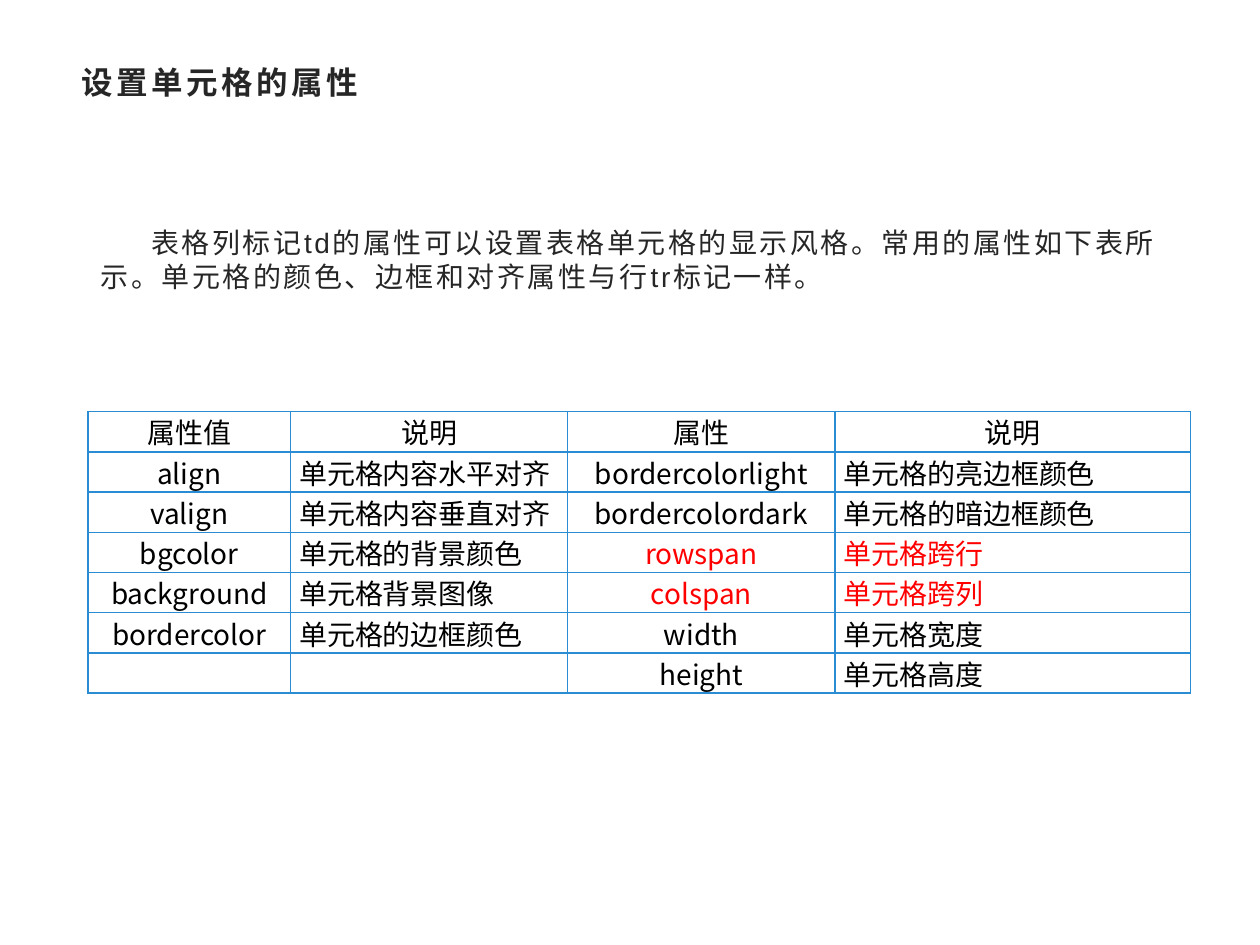
from lxml import etree
from pptx import Presentation
from pptx.dml.color import RGBColor
from pptx.enum.text import MSO_ANCHOR, PP_ALIGN
from pptx.oxml.ns import qn
from pptx.util import Pt

TOP, MID = MSO_ANCHOR.TOP, MSO_ANCHOR.MIDDLE
LEFT, CENTER, JUST = PP_ALIGN.LEFT, PP_ALIGN.CENTER, PP_ALIGN.JUSTIFY
COLORS = {"ink": "262626", "black": "000000", "red": "FF0000", "rule": "2A8DD4"}
LATIN, HAN = "Arial", "Noto Sans CJK SC"

TITLE = "设置单元格的属性"
INTRO = ("表格列标记td的属性可以设置表格单元格的显示风格。常用的属性如下表所示。"
         "单元格的颜色、边框和对齐属性与行tr标记一样。")
ROWS = [
    ("属性值", "说明", "属性", "说明"),
    ("align", "单元格内容水平对齐", "bordercolorlight", "单元格的亮边框颜色"),
    ("valign", "单元格内容垂直对齐", "bordercolordark", "单元格的暗边框颜色"),
    ("bgcolor", "单元格的背景颜色", "rowspan", "单元格跨行"),
    ("background", "单元格背景图像", "colspan", "单元格跨列"),
    ("bordercolor", "单元格的边框颜色", "width", "单元格宽度"),
    ("", "", "height", "单元格高度"),
]
SPANS = ("rowspan", "colspan")


class Deck:
    def __init__(self, wide, high):
        self.prs = Presentation()
        self.prs.slide_width, self.prs.slide_height = Pt(wide), Pt(high)
        self.slide = self.prs.slides.add_slide(self.prs.slide_layouts[6])

    def style(self, para, size, color, face, bold=False, gap=0):
        font = para.font
        font.size, font.bold = Pt(size), bold
        font.color.rgb = RGBColor.from_string(COLORS[color])
        font.name = face
        # East Asian face and letter spacing
        props = font._rPr
        etree.SubElement(props, qn("a:ea"), typeface=HAN)
        if gap:
            props.set("spc", str(int(gap * 100)))

    def text(self, box, words, size, inset, bold=False, gap=0, indent=0):
        frame = self.slide.shapes.add_textbox(*map(Pt, box)).text_frame
        frame.word_wrap = True
        frame.vertical_anchor = TOP
        frame.margin_top = Pt(inset)
        para = frame.paragraphs[0]
        para.text = words
        para.alignment = LEFT
        if indent:
            para._p.get_or_add_pPr().set("indent", str(Pt(indent)))
        self.style(para, size, "ink", LATIN, bold, gap)

    def border(self, cell):
        props = cell._tc.get_or_add_tcPr()
        for i, side in enumerate(("lnL", "lnR", "lnT", "lnB")):
            line = etree.Element(qn("a:" + side), w=str(Pt(1)))
            fill = etree.SubElement(line, qn("a:solidFill"))
            etree.SubElement(fill, qn("a:srgbClr"), val=COLORS["rule"])
            props.insert(i, line)

    def cell(self, cell, words, align, color):
        cell.fill.background()
        cell.margin_left = cell.margin_right = Pt(5)
        cell.margin_top = cell.margin_bottom = 0
        cell.vertical_anchor = MID
        para = cell.text_frame.paragraphs[0]
        if words:
            para.text = words
        para.alignment = align
        self.style(para, 16, color, HAN)
        self.border(cell)

    def table(self, left, top, widths, high, rows):
        grid = self.slide.shapes.add_table(
            len(rows), len(widths), Pt(left), Pt(top),
            Pt(sum(widths)), Pt(high * len(rows))).table
        grid.first_row = grid.horz_banding = False
        for col, width in zip(grid.columns, widths):
            col.width = Pt(width)
        for r, row in enumerate(rows):
            grid.rows[r].height = Pt(high)
            for c, words in enumerate(row):
                # Names and headings are centred, notes are justified
                align = CENTER if r == 0 or c % 2 == 0 else JUST
                # Span attributes and their notes stand out in red
                red = c > 1 and row[2] in SPANS
                self.cell(grid.cell(r, c), words, align, "red" if red else "black")


def main():
    deck = Deck(720, 540)
    # Title
    deck.text((39.6, 34.6, 640.8, 34.6), TITLE, 18, 1.6, bold=True, gap=2)
    # Introduction
    deck.text((50.4, 108, 630, 98), INTRO, 16, 21, gap=1.5, indent=29)
    # Attribute table
    deck.table(50.4, 235.2, (115.6, 158.4, 152.8, 203.2), 23, ROWS)
    deck.prs.save("out.pptx")


if __name__ == "__main__":
    main()
